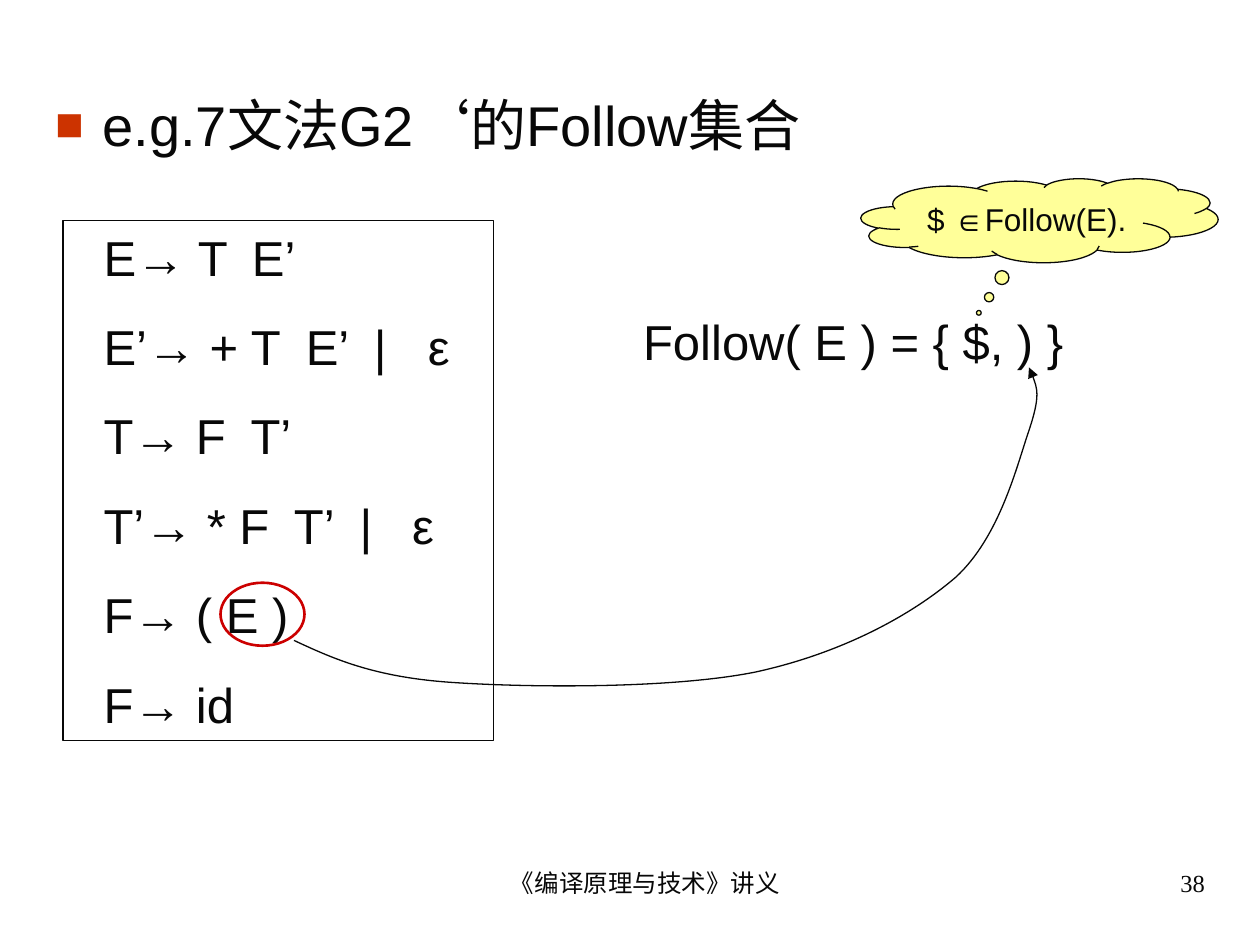
import pptx
import pptx.util
import pptx.dml.color
import pptx.enum.shapes
import pptx.enum.text
import pptx.oxml.ns
import lxml.etree

PX = 9525
INK, RED, PALE = "080808", "CC0000", "FFFF99"
BULLET = "CC3300"
KIND = pptx.enum.shapes.MSO_SHAPE
ALIGN = pptx.enum.text.PP_ALIGN
ANCHOR = pptx.enum.text.MSO_ANCHOR
GAP = pptx.util.Pt(17.5)

# Each rule of the grammar with the tab stops of its columns
RULES = [
    ("E→ T\tE’", [113]),
    ("E’→ + T\tE’\t|\tε", [154, 206, 247]),
    ("T→ F\tT’", [112]),
    ("T’→ * F\tT’\t|\tε", [145, 195, 235]),
    ("F→ ( E )", []),
    ("F→ id", []),
]
CURVE = [
    (0, 208),
    (30, 222), (61, 236), (120, 240),
    (178, 244), (288, 245), (352, 232),
    (416, 218), (469, 190), (504, 160),
    (538, 129), (551, 74), (560, 48),
    (569, 21), (565, 11), (560, 0),
]


def emu(*nums):
    return [round(n * PX) for n in nums]


def color(code):
    return pptx.dml.color.RGBColor.from_string(code)


def apply(obj, form):
    for name, value in form.items():
        setattr(obj, name, value)


def sub(node, tag, **attrs):
    """Add a DrawingML child element."""
    child = lxml.etree.SubElement(node, pptx.oxml.ns.qn("a:" + tag))
    for name, value in attrs.items():
        child.set(name, str(value))
    return child


def style(shape, line, width=0.75, fill=None):
    shape.shadow.inherit = False
    shape.line.color.rgb = color(line)
    shape.line.width = pptx.util.Pt(width)
    if fill:
        shape.fill.solid()
        shape.fill.fore_color.rgb = color(fill)
    else:
        shape.fill.background()


def frame(shape, left=10, anchor=ANCHOR.TOP):
    """Set wrapping, insets and anchor, and return the text frame."""
    text = shape.text_frame
    side, edge, inset = emu(10, 5, left)
    apply(text, {
        "word_wrap": True, "vertical_anchor": anchor,
        "margin_left": inset, "margin_right": side,
        "margin_top": edge, "margin_bottom": edge,
    })
    return text


def write(para, words, size, face="Arial", **form):
    run = para.add_run()
    run.text = words
    apply(run.font, {"size": pptx.util.Pt(size), "name": face})
    run.font.color.rgb = color(INK)
    apply(para, {"alignment": ALIGN.LEFT, **form})


def label(slide, box, words, size, **form):
    area = slide.shapes.add_textbox(*emu(*box))
    para = frame(area).paragraphs[0]
    write(para, words, size, **form)
    return para


def title(slide, box):
    para = label(slide, box, "e.g.7文法G2‘的Follow集合", 32,
                 space_before=pptx.util.Pt(8))
    props = para._p.get_or_add_pPr()
    hang = emu(36)[0]
    props.set("marL", str(hang))
    props.set("indent", str(-hang))
    sub(sub(props, "buClr"), "srgbClr", val=BULLET)
    sub(props, "buSzPct", val=85000)
    sub(props, "buFont", typeface="Arial")
    sub(props, "buChar", char="■")


def grammar(slide, box):
    """Draw the rule box and ring the E ) in its fifth rule."""
    panel = slide.shapes.add_shape(KIND.RECTANGLE, *emu(*box))
    style(panel, INK)
    text = frame(panel, left=31)
    for num, (rule, stops) in enumerate(RULES):
        para = text.add_paragraph() if num else text.paragraphs[0]
        write(para, rule, 28, space_before=GAP)
        if stops:
            tabs = sub(para._p.get_or_add_pPr(), "tabLst")
            for stop in emu(*stops):
                sub(tabs, "tab", pos=stop, algn="l")
    left, top = box[:2]
    ring = slide.shapes.add_shape(KIND.OVAL, *emu(left + 120, top + 276, 64, 48))
    style(ring, RED, 1.5)


def arrow(slide, left, top):
    """Draw the curve, each three points after the first being one Bezier."""
    spots = [(left + x, top + y) for x, y in CURVE]
    build = slide.shapes.build_freeform(*spots[0], scale=PX)
    build.add_line_segments(spots[1:], close=False)
    curve = build.convert_to_shape()
    style(curve, INK)
    lines = curve._element.xpath(".//a:lnTo")
    track = lines[0].getparent()
    for start in range(0, len(lines), 3):
        bend = sub(track, "cubicBezTo")
        for line in lines[start:start + 3]:
            bend.append(line[0])
            track.remove(line)
    sub(curve.line._get_or_add_ln(), "tailEnd", type="triangle")


def cloud(slide, box):
    bubble = slide.shapes.add_shape(KIND.CLOUD_CALLOUT, *emu(*box))
    bubble.adjustments[0] = -0.17
    bubble.adjustments[1] = 1.1
    style(bubble, INK, fill=PALE)
    para = frame(bubble, anchor=ANCHOR.MIDDLE).paragraphs[0]
    write(para, "$ ∈Follow(E).", 18, alignment=ALIGN.CENTER)


def footer(slide, top):
    parts = [
        (328, 304, "《编译原理与技术》讲义", ALIGN.CENTER),
        (688, 240, "38", ALIGN.RIGHT),
    ]
    for left, width, words, align in parts:
        para = label(slide, (left, top, width, 50), words, 14,
                     face="Times New Roman", alignment=align)
        para._p.get_or_add_pPr().set("marL", str(emu(23)[0]))


def main():
    deck = pptx.Presentation()
    wide, high = emu(960, 720)
    apply(deck, {"slide_width": wide, "slide_height": high})
    slide = deck.slides.add_slide(deck.slide_layouts[6])
    title(slide, (32, 64, 896, 64))
    grammar(slide, (48, 168, 328, 396))
    label(slide, (480, 232, 400, 55), "Follow( E ) = { $, ) }", 28,
          space_before=GAP)
    arrow(slide, 224, 280)
    cloud(slide, (656, 136, 272, 64))
    footer(slide, 656)
    deck.save("out.pptx")


if __name__ == "__main__":
    main()
